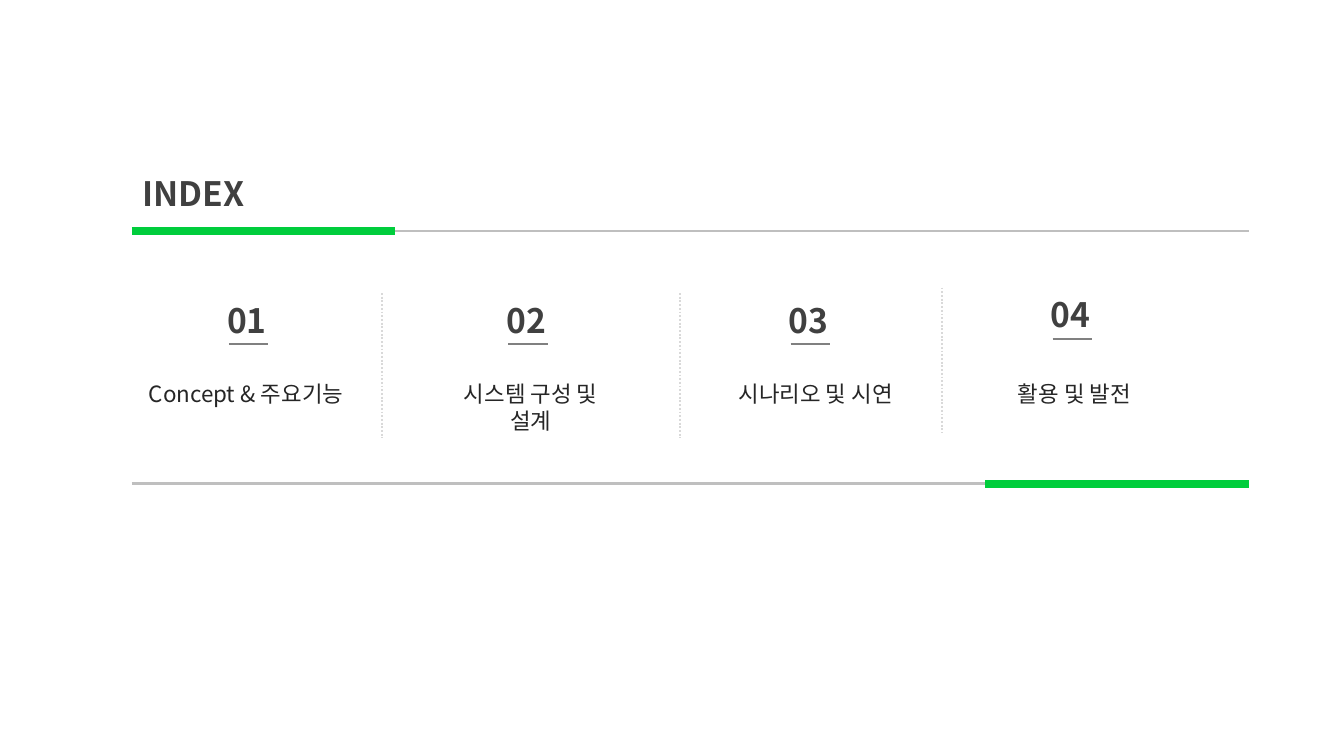
from pptx import Presentation
from pptx.util import Pt
from pptx.dml.color import RGBColor
from pptx.enum import dml, shapes, text
from pptx.oxml.ns import qn
from lxml import etree

THEME = {
    "sans": "Noto Sans CJK KR", "body": "Lato",
    "head": 18, "label": 12,
    "dark": "404040", "ink": "262626", "green": "00CD3C",
    "gray": "BFBFBF", "rule": "808080", "dots": "D9D9D9",
}

# Number, number left, top, label left, label width, label runs (text, font)
ITEMS = [
    ("01", 118.1, 157, 71.3, 121, [("Concept & 주요", "sans"), ("기능", "body")]),
    ("02", 267.9, 157, 234, 100.8, [("시스템 구성 및 설계", "body")]),
    ("03", 419.1, 157, 388.8, 96.5, [("시나리오 및 시연", "body")]),
    ("04", 559.4, 154.1, 535.7, 79.9, [("활용 및 발전", "body")]),
]
# Dotted dividers: x, top
DIVS = [(204.5, 157), (364.3, 157), (504.7, 154.1)]
# Long bars: left, right, y, colour, weight
BARS = [
    (144, 669, 123.8, "gray", 1.5),
    (70.6, 211.7, 123.8, "green", 4.5),
    (70.6, 596, 259.2, "gray", 1.5),
    (527.9, 669, 259.2, "green", 4.5),
]

deck = Presentation()
deck.slide_width, deck.slide_height = Pt(720), Pt(405)
slide = deck.slides.add_slide(deck.slide_layouts[6])


def line(x1, y1, x2, y2, color, weight, dash=None):
    item = slide.shapes.add_connector(
        shapes.MSO_CONNECTOR.STRAIGHT, Pt(x1), Pt(y1), Pt(x2), Pt(y2))
    item.line.color.rgb = RGBColor.from_string(THEME[color])
    item.line.width = Pt(weight)
    if dash:
        item.line.dash_style = dash
    etree.SubElement(item._element.spPr, qn("a:effectLst"))


def write(x, y, w, h, runs, size, color, bold=False, align=None):
    box = slide.shapes.add_textbox(Pt(x), Pt(y), Pt(w), Pt(h))
    frame = box.text_frame
    frame.word_wrap = True
    frame.auto_size = text.MSO_AUTO_SIZE.SHAPE_TO_FIT_TEXT
    frame.margin_left = frame.margin_right = Pt(3.6)
    frame.margin_top = frame.margin_bottom = Pt(3.6)
    para = frame.paragraphs[0]
    para.alignment = align
    for words, face in runs:
        run = para.add_run()
        run.text = words
        font = run.font
        font.size, font.bold = Pt(THEME[size]), bold
        font.color.rgb = RGBColor.from_string(THEME[color])
        font.name = THEME[face]
        # Hangul takes the East Asian face
        east = etree.SubElement(run._r.get_or_add_rPr(), qn("a:ea"))
        east.set("typeface", THEME["sans"])


def head(x, y, words):
    write(x, y, 74.9, 29.5, [(words, "sans")], "head", "dark", bold=True)


# Frame bars
for x1, x2, y, color, weight in BARS:
    line(x1, y, x2, y, color, weight)

# Title
head(72.7, 89.3, "INDEX")

# Numbers, short rules and labels
for num, x, top, left, wide, runs in ITEMS:
    head(x, top, num)
    line(x + 4.5, top + 27.4, x + 25.7, top + 27.4, "rule", 1)
    write(left, 200.2, wide, 22.3, runs, "label", "ink",
          align=text.PP_ALIGN.CENTER)

# Dividers
for x, top in DIVS:
    line(x, top, x, top + 77.8, "dots", 1, dml.MSO_LINE.ROUND_DOT)

deck.save("out.pptx")
